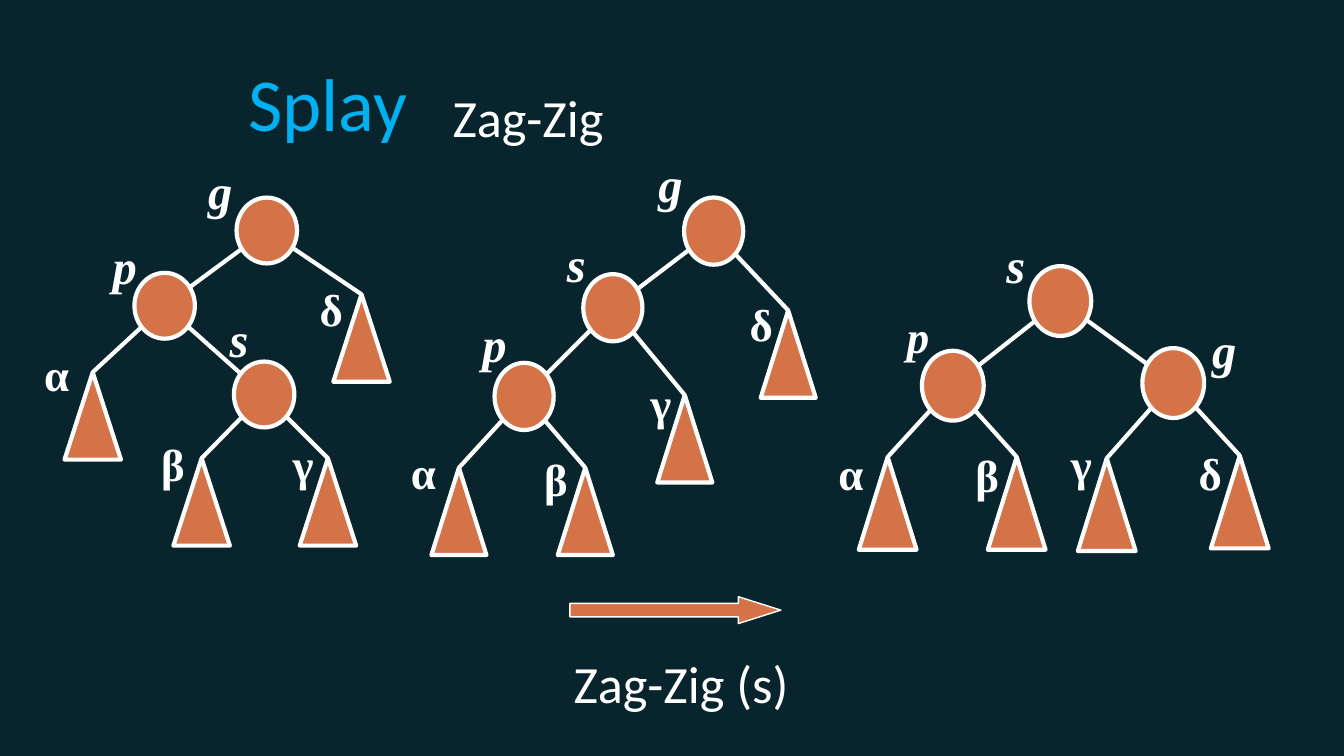
from math import hypot

from lxml.etree import SubElement
from pptx import Presentation
from pptx.dml.color import RGBColor
from pptx.enum.shapes import MSO_CONNECTOR, MSO_SHAPE
from pptx.enum.text import MSO_AUTO_SIZE, PP_ALIGN
from pptx.oxml.ns import qn
from pptx.util import Inches, Pt

WIDTH = 10
HEIGHT = WIDTH * 9 / 16
COLUMN = WIDTH / 100  # square grid, 100 columns across the slide
BACKGROUND, ORANGE, WHITE, BLUE = "08252D", "D47348", "FFFFFF", "00B0F0"
LABEL_SIZE = 7
GREEK = "αβγδ"

# Each node: name -> centre of a circle or tip of a triangle, then label offset.
# Positions are in grid columns, relative to the tree's box.
BEFORE = {
    "g": (17.85, 6.15, -5.35, -5.65),
    "p": (10.25, 11.75, -4.85, -5.65),
    "s": (17.65, 18.35, -3.55, -6.85),
    "α": (4.9, 16.7, -4.6, -2.4),
    "β": (13, 23.1, -4, -2.1),
    "γ": (22.4, 23.1, -3.6, -2.1),
    "δ": (24.9, 10.9, -4.1, -1.4),
}
MIDDLE = {
    "g": (24.1, 6.2, -5.1, -6.2),
    "s": (16.6, 11.9, -4.4, -6),
    "p": (10, 18.5, -4.1, -6.6),
    "α": (5.15, 23.8, -4.55, -2.2),
    "β": (14.55, 23.8, -4.05, -1.7),
    "γ": (21.95, 18.4, -3.55, -1.9),
    "δ": (29.65, 12.1, -3.85, -1.5),
}
AFTER = {
    "s": (17.9, 5.4, -5, -5.4),
    "p": (9.9, 11.7, -4.4, -6.2),
    "g": (26.3, 11.5, 1.9, -5.2),
    "α": (5.05, 17, -4.65, -1.3),
    "β": (14.65, 17, -4.05, -1.2),
    "γ": (21.35, 17.1, -3.65, -2.1),
    "δ": (31.25, 16.9, -4.05, -1.2),
}
# Box corner, nodes, parent-child pairs, circle size, triangle size, size of p
TREES = [
    ((61, 17), AFTER, "sp sg pα pβ gγ gδ", (4.6, 5.2), (4.3, 6.9), 24),
    ((2, 11), BEFORE, "gp gδ pα ps sβ sγ", (4.5, 4.9), (4.2, 6.5), 26),
    ((29, 11), MIDDLE, "gs gδ sp sγ pα pβ", (4.4, 5), (4.1, 6.5), 26),
]


def color(value):
    return RGBColor.from_string(value)


def grid(*values):
    return [Inches(value * COLUMN) for value in values]


def add_text(shapes, box, text, font, size, fill=WHITE, wrap=True,
             bold=None, italic=None, align=None):
    shape = shapes.add_textbox(*grid(*box))
    frame = shape.text_frame
    frame.word_wrap = wrap
    frame.auto_size = MSO_AUTO_SIZE.NONE
    paragraph = frame.paragraphs[0]
    paragraph.alignment = align
    run = paragraph.add_run()
    run.text = text
    run.font.name, run.font.size = font, Pt(size)
    run.font.bold, run.font.italic = bold, italic
    run.font.color.rgb = color(fill)


def add_figure(shapes, kind, box, line_width):
    shape = shapes.add_shape(kind, *grid(*box))
    shape.shadow.inherit = False
    shape.fill.solid()
    shape.fill.fore_color.rgb = color(ORANGE)
    shape.line.color.rgb = color(WHITE)
    shape.line.width = Pt(line_width)
    return shape


def add_edge(shapes, start, end):
    edge = shapes.add_connector(MSO_CONNECTOR.STRAIGHT, *grid(*start, *end))
    edge.line.color.rgb = color(WHITE)
    edge.line.width = Pt(2.25)
    SubElement(edge.element.spPr, qn("a:effectLst"))


def circle_rim(center, target, circle):
    """Point of the circle's outline that faces the target."""
    across, down = target[0] - center[0], target[1] - center[1]
    scale = hypot(across / (circle[0] / 2), down / (circle[1] / 2))
    return center[0] + across / scale, center[1] + down / scale


def add_tree(slide, corner, nodes, edges, circle, triangle, p_size):
    shapes = slide.shapes.add_group_shape().shapes
    places = {name: (corner[0] + node[0], corner[1] + node[1])
              for name, node in nodes.items()}

    for parent, child in edges.split():
        start, end = places[parent], places[child]
        if child in GREEK:
            tip = end
        else:
            tip = circle_rim(end, start, circle)
        add_edge(shapes, circle_rim(start, end, circle), tip)

    for name, (x, y) in places.items():
        is_leaf = name in GREEK
        if is_leaf:
            kind, size, top = MSO_SHAPE.ISOSCELES_TRIANGLE, triangle, y
        else:
            kind, size, top = MSO_SHAPE.OVAL, circle, y - circle[1] / 2
        add_figure(shapes, kind, (x - size[0] / 2, top, *size), 2.25)

        shift_x, shift_y = nodes[name][2:]
        font_size = 24 if is_leaf else p_size if name == "p" else 26
        add_text(shapes, (x + shift_x, y + shift_y, LABEL_SIZE, LABEL_SIZE),
                 name, "Times New Roman", font_size, bold=True,
                 italic=None if is_leaf else True, align=PP_ALIGN.JUSTIFY)


def add_heading(slide, left, top):
    add_text(slide.shapes, (left, top, 70.2, 7.7), "Splay", "Calibri", 40, BLUE)
    add_text(slide.shapes, (left + 15.2, top + 2.1, 13.3, 5.7), "Zag-Zig",
             "Calibri", 28, wrap=False)


def add_operation(slide, left, top):
    arrow = add_figure(slide.shapes, MSO_SHAPE.RIGHT_ARROW,
                       (left + 0.7, top, 15.7, 2), 0.75)
    arrow.adjustments[0], arrow.adjustments[1] = 0.5, 1.58
    add_text(slide.shapes, (left, top + 3.6, 18.2, 5.7), "Zag-Zig (s)",
             "Calibri", 28, wrap=False)


def main():
    presentation = Presentation()
    presentation.slide_width = Inches(WIDTH)
    presentation.slide_height = Inches(HEIGHT)
    slide = presentation.slides.add_slide(presentation.slide_layouts[6])
    slide.background.fill.solid()
    slide.background.fill.fore_color.rgb = color(BACKGROUND)
    add_heading(slide, 17.5, 3.75)
    for tree in TREES:
        add_tree(slide, *tree)
    add_operation(slide, 41.7, 44.4)
    presentation.save("out.pptx")


if __name__ == "__main__":
    main()
